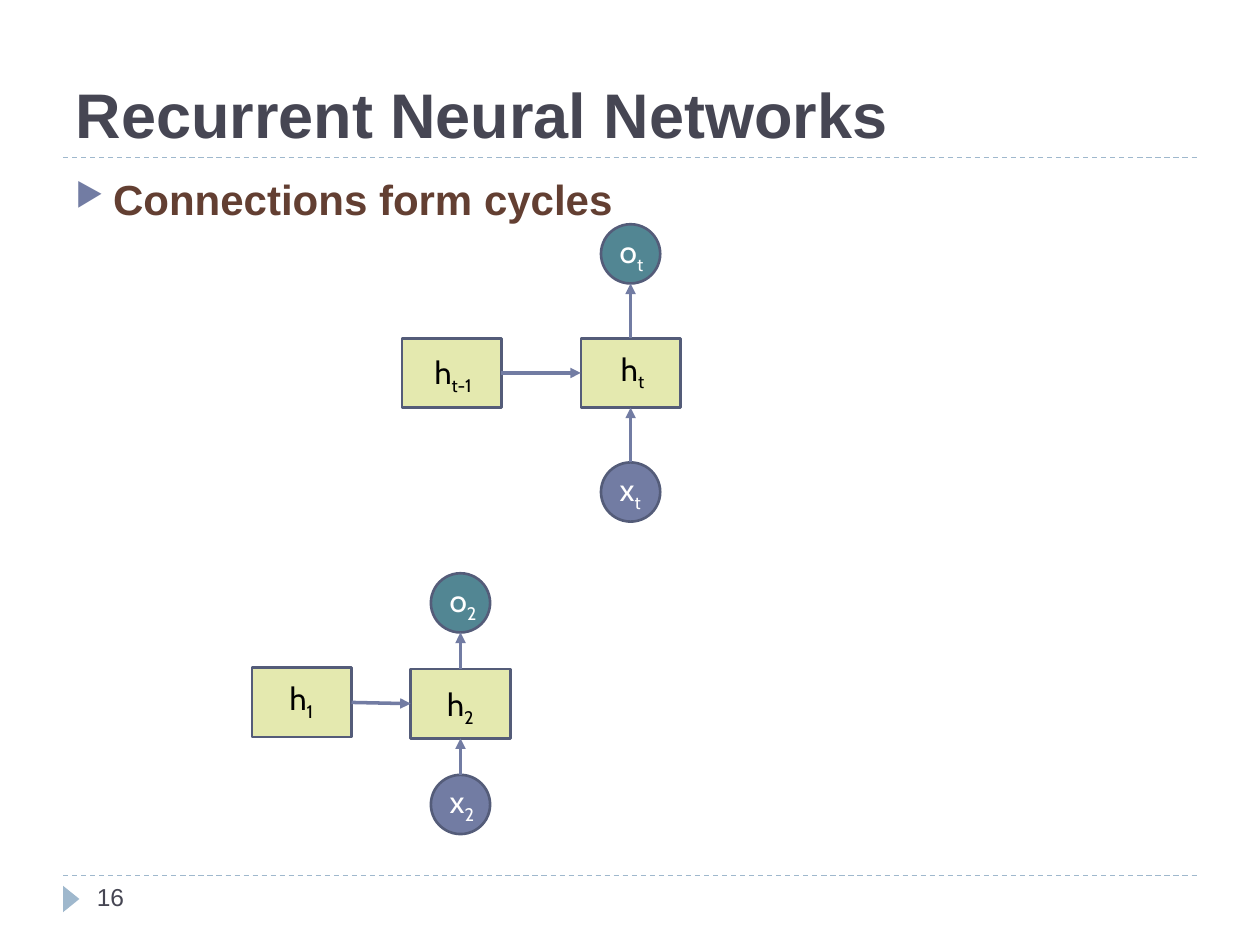
from dataclasses import dataclass

from lxml import etree
from pptx import Presentation
from pptx import util as u
from pptx.dml.color import RGBColor
from pptx.enum import dml, shapes, text
from pptx.oxml.ns import qn

COLORS = {
    "ink": "464653", "rule": "9FB8CD", "topic": "633F32", "accent": "727CA3",
    "edge": "545C79", "hidden": "E4E9AF", "output": "528693",
    "light": "FFFFFF", "dark": "000000",
}
SLIDE_W, SLIDE_H = u.Inches(10), u.Inches(7.5)
COL, ROW = SLIDE_W / 100, SLIDE_H / 75
STATE_W, STATE_H, CIRCLE = 7.9, 5.5, 4.7


@dataclass
class Box:
    x: float
    y: float
    w: float
    h: float

    @property
    def mid_x(self):
        return self.x + self.w / 2

    @property
    def mid_y(self):
        return self.y + self.h / 2

    @property
    def right(self):
        return self.x + self.w

    @property
    def bottom(self):
        return self.y + self.h

    def emu(self):
        return [round(n) for n in (self.x * COL, self.y * ROW, self.w * COL, self.h * ROW)]


def color(name):
    return RGBColor.from_string(COLORS[name])


def style(font, size, name, ink, bold=False):
    font.size, font.name, font.bold = u.Pt(size), name, bold
    font.color.rgb = color(ink)


def add_text(slide, box, wrap=True):
    frame = slide.shapes.add_textbox(*box.emu()).text_frame
    frame.word_wrap = wrap
    return frame


def add_shape(slide, kind, box, fill, edge=None):
    shape = slide.shapes.add_shape(kind, *box.emu())
    shape.shadow.inherit = False
    shape.fill.solid()
    shape.fill.fore_color.rgb = color(fill)
    if edge:
        shape.line.color.rgb = color(edge)
        shape.line.width = u.Pt(1.5)
    else:
        shape.line.fill.background()
    return shape


def add_line(slide, start, end, ink, width):
    ends = [round(n) for x, y in (start, end) for n in (x * COL, y * ROW)]
    line = slide.shapes.add_connector(shapes.MSO_CONNECTOR.STRAIGHT, *ends)
    line.line.color.rgb = color(ink)
    line.line.width = u.Pt(width)
    etree.SubElement(line._element.spPr, qn("a:effectLst"))
    return line


def add_arrow(slide, start, end):
    arrow = add_line(slide, start, end, "accent", 2)
    etree.SubElement(arrow.line._get_or_add_ln(), qn("a:tailEnd"), type="triangle")


def add_rule(slide, box, y):
    rule = add_line(slide, (box.x, y), (box.right, y), "rule", 0.75)
    rule.line.dash_style = dml.MSO_LINE.DASH


def add_node(slide, kind, box, fill, ink, symbol, index, shift):
    add_shape(slide, kind, box, fill, "edge")
    dx, dy = shift
    label = Box(box.x + dx, box.y + dy, 4.1 + 1.05 * (len(index) - 1), 4)
    letters = add_text(slide, label, wrap=False).paragraphs[0]
    for part in (symbol, index):
        run = letters.add_run()
        run.text = part
        style(run.font, 18, "Cabin", ink)
    run.font._element.set("baseline", "-25000")


def header(slide, box):
    title = slide.shapes.title
    title.left, title.top, title.width, title.height = box.emu()
    frame = title.text_frame
    frame.text = "Recurrent Neural Networks"
    frame.vertical_anchor = text.MSO_ANCHOR.BOTTOM
    frame.auto_size = text.MSO_AUTO_SIZE.NONE
    frame.paragraphs[0].alignment = text.PP_ALIGN.LEFT
    style(frame.paragraphs[0].runs[0].font, 36, "Arial", "ink", True)
    add_rule(slide, box, box.bottom)


def footer(slide, box):
    add_rule(slide, box, box.y)
    marker = Box(box.x - 0.4, box.y + 1.2, 2.1, 1.3)
    triangle = add_shape(slide, shapes.MSO_SHAPE.ISOSCELES_TRIANGLE, marker, "rule")
    triangle.rotation = 90
    frame = add_text(slide, Box(box.x + 1.7, box.y, 21.7, box.h))
    frame.text = "16"
    style(frame.paragraphs[0].runs[0].font, 14, "Arial", "ink")


def topic(slide, box):
    frame = add_text(slide, box)
    frame.text = "Connections form cycles"
    point = frame.paragraphs[0]
    props = point._p.get_or_add_pPr()
    props.set("marL", str(u.Inches(0.3)))
    props.set("indent", str(-u.Inches(0.3)))
    tint = etree.SubElement(props, qn("a:buClr"))
    etree.SubElement(tint, qn("a:srgbClr"), val=COLORS["accent"])
    etree.SubElement(props, qn("a:buSzPct"), val="76000")
    etree.SubElement(props, qn("a:buChar"), char="▶")
    style(point.runs[0].font, 24, "Arial", "topic", True)


def network(slide, box, step, previous, shift, previous_shift, rise=0):
    rect, oval = shapes.MSO_SHAPE.RECTANGLE, shapes.MSO_SHAPE.OVAL
    state_y = box.mid_y - STATE_H / 2
    past = Box(box.x, state_y - rise, STATE_W, STATE_H)
    state = Box(box.right - STATE_W, state_y, STATE_W, STATE_H)
    circle_x = state.mid_x - CIRCLE / 2
    output = Box(circle_x, box.y, CIRCLE, CIRCLE)
    source = Box(circle_x, box.bottom - CIRCLE, CIRCLE, CIRCLE)

    add_node(slide, rect, past, "hidden", "dark", "h", previous, previous_shift)
    add_node(slide, rect, state, "hidden", "dark", "h", step, shift)
    add_node(slide, oval, output, "output", "light", "o", step, (0.5, 0.1))
    add_node(slide, oval, source, "accent", "light", "x", step, (0.5, 0.1))

    add_arrow(slide, (past.right, past.mid_y), (state.x, state.mid_y))
    add_arrow(slide, (state.mid_x, source.y), (state.mid_x, state.bottom))
    add_arrow(slide, (state.mid_x, state.y), (state.mid_x, output.bottom))


def main():
    deck = Presentation()
    deck.slide_width, deck.slide_height = SLIDE_W, SLIDE_H
    slide = deck.slides.add_slide(deck.slide_layouts[5])
    header(slide, Box(5, 1.7, 90, 10.8))
    footer(slide, Box(5, 69.5, 90, 4))
    topic(slide, Box(5, 13.3, 90, 54))
    network(slide, Box(31.9, 17.8, 22.1, 23.6), "t", "t-1", (2.2, 0.4), (1.6, 0.7))
    network(slide, Box(20, 45.5, 20.5, 20.7), "2", "1", (1.9, 0.8), (2, 0.4), rise=0.1)
    deck.save("out.pptx")


if __name__ == "__main__":
    main()
